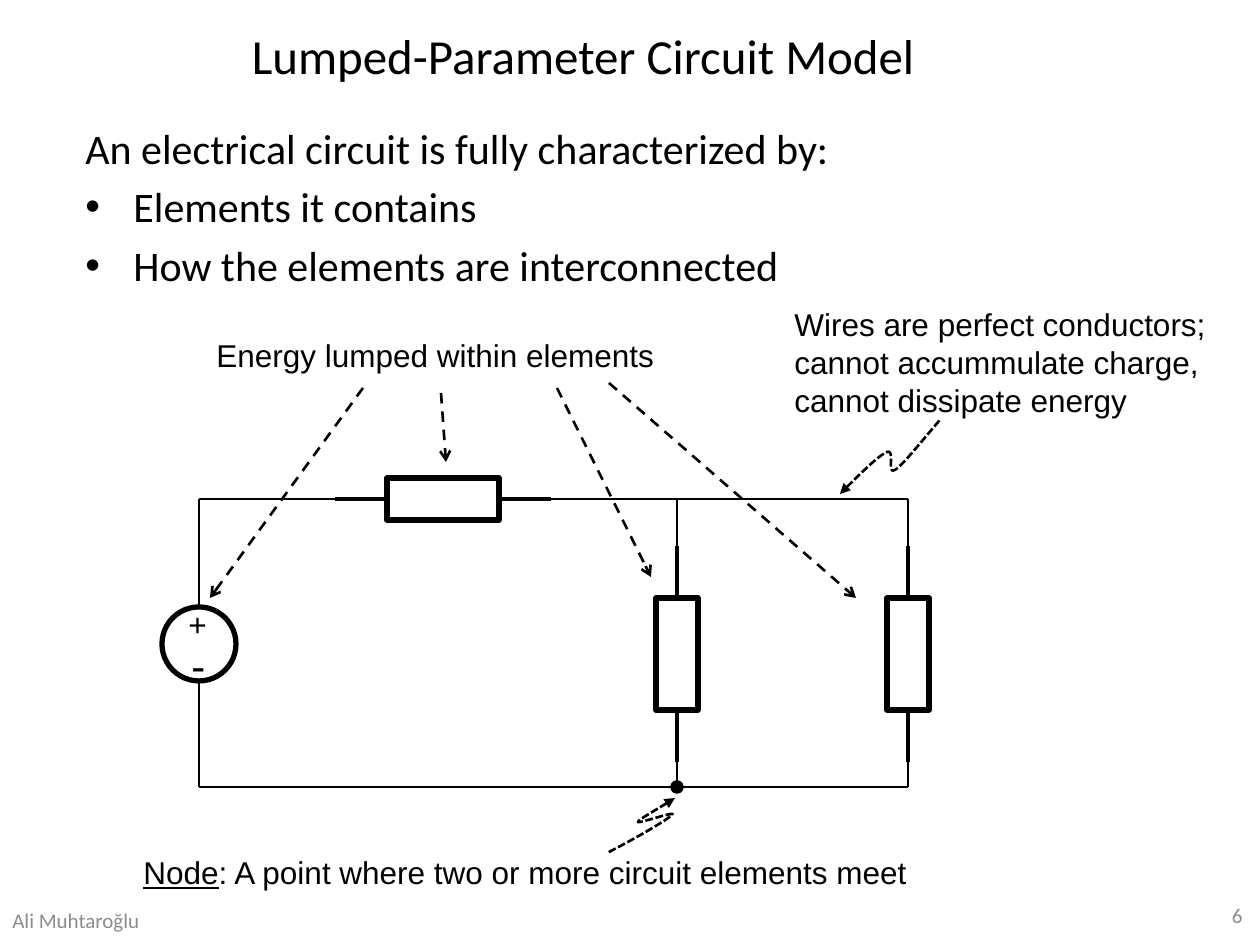
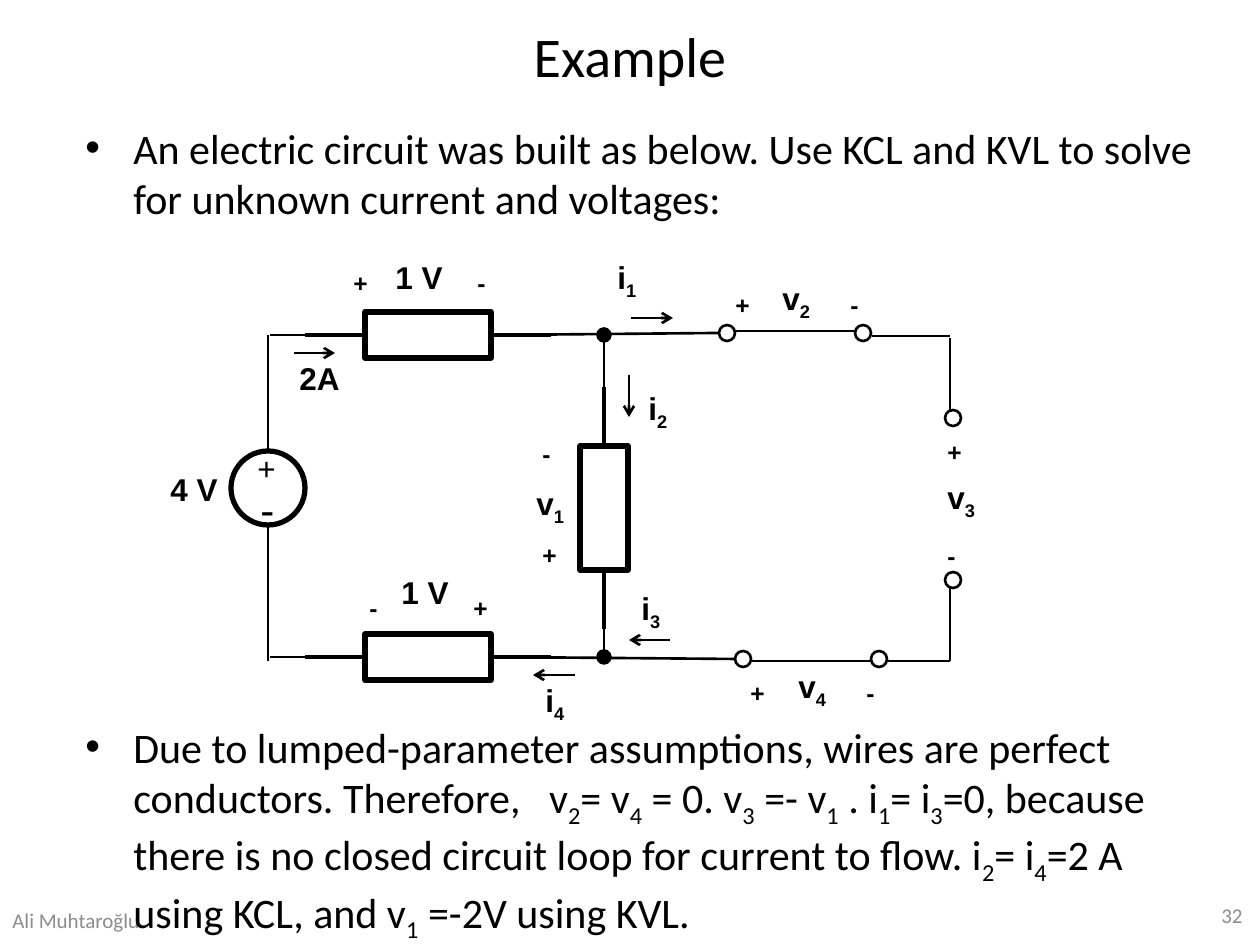
"""Builds two slides on lumped-parameter circuits."""
from dataclasses import dataclass

from lxml.etree import SubElement
from pptx import Presentation
from pptx.dml.color import RGBColor
from pptx.enum.dml import MSO_LINE
from pptx.enum.shapes import MSO_CONNECTOR, MSO_SHAPE
from pptx.enum.text import MSO_ANCHOR, PP_ALIGN
from pptx.oxml.ns import qn
from pptx.util import Emu, Pt

SCALE = 914400 / 126


@dataclass(frozen=True)
class Theme:
    ink: RGBColor = RGBColor(0, 0, 0)
    paper: RGBColor = RGBColor(255, 255, 255)
    muted: RGBColor = RGBColor(0x8C, 0x8C, 0x8C)
    head_font: str = "Calibri"
    label_font: str = "Arial"
    body: int = 24
    label: int = 18
    sign: int = 14
    footer: int = 12
    wire: float = 1.5
    lead: float = 2.25
    outline: float = 3


def px(v):
    return Emu(round(v * SCALE))


def add_text(p, text, font, size, color, bold=False, underline=False):
    """Adds text; "_" lowers the next character, "~" is a wide space."""
    def run(content):
        r = p.add_run()
        r.text = content
        r.font.name, r.font.size, r.font.color.rgb = font, Pt(size), color
        r.font.bold, r.font.underline = bold, underline
        return r._r.get_or_add_rPr()

    plain = ""
    chars = iter(text)
    for ch in chars:
        if ch not in "_~":
            plain += ch
            continue
        if plain:
            run(plain)
        plain = ""
        if ch == "_":
            run(next(chars)).set("baseline", "-25000")
        else:
            run(" ").set("spc", "1080")
    if plain:
        run(plain)


def bezier(points, steps=12):
    """Samples a chain of cubic curves."""
    out = [points[0]]
    for i in range(0, len(points) - 1, 3):
        a, b, c, d = points[i:i + 4]
        for k in range(1, steps + 1):
            t = k / steps
            u = 1 - t
            out.append(tuple(u**3 * a[j] + 3 * u * u * t * b[j]
                             + 3 * u * t * t * c[j] + t**3 * d[j]
                             for j in (0, 1)))
    return out


class Deck:
    """Holds the theme and the current slide, and draws on it."""

    def __init__(self, theme):
        self.theme = theme
        self.prs = Presentation()
        self.prs.slide_width, self.prs.slide_height = px(1260), px(945)

    def slide(self, title, number, size, width):
        t = self.theme
        self.s = self.prs.slides.add_slide(self.prs.slide_layouts[6])
        head = dict(font=t.head_font, anchor=MSO_ANCHOR.MIDDLE)
        small = dict(head, size=t.footer, color=t.muted)
        self.text(63, 16, width, 78, title, size=size, align=PP_ALIGN.CENTER, **head)
        self.text(919, 890, 336, 50, number, align=PP_ALIGN.RIGHT, **small)
        self.text(0, 895, 174, 50, "Ali Muhtaroğlu", **small)

    def text(self, x, y, w, h, *lines, font=None, size=None, color=None,
             align=PP_ALIGN.LEFT, anchor=MSO_ANCHOR.TOP, bold=False):
        t = self.theme
        tf = self.s.shapes.add_textbox(px(x), px(y), px(w), px(h)).text_frame
        tf.word_wrap, tf.vertical_anchor = True, anchor
        for i, line in enumerate(lines):
            p = tf.add_paragraph() if i else tf.paragraphs[0]
            p.alignment = align
            add_text(p, line, font or t.label_font, size or t.label,
                     color or t.ink, bold=bold)
        return tf

    def body(self, y, h, *lines, intro=False):
        t = self.theme
        tf = self.text(73, y, 1134, h, *lines, font=t.head_font, size=t.body)
        for i, p in enumerate(tf.paragraphs):
            p.space_before = Pt(t.body * 0.2)
            if intro and i == 0:
                continue
            pPr = p._p.get_or_add_pPr()
            pPr.set("marL", str(px(48)))
            pPr.set("indent", str(px(-48)))
            SubElement(pPr, qn("a:buFont")).set("typeface", t.label_font)
            SubElement(pPr, qn("a:buChar")).set("char", "•")

    def label(self, x, y, text):
        self.text(x, y, 80, 50, text, bold=True)

    def sign(self, x, y, text):
        self.text(x, y, 50, 48, text, size=self.theme.sign, bold=True)

    def stroke(self, sp, width, dash=None, head=None, tail=None):
        sp.line.color.rgb, sp.line.width = self.theme.ink, Pt(width)
        if dash:
            sp.line.dash_style = dash
        for end, kind in (("a:headEnd", head), ("a:tailEnd", tail)):
            if kind:
                SubElement(sp.line._get_or_add_ln(), qn(end)).set("type", kind)

    def line(self, x1, y1, x2, y2, width=None, **ends):
        sp = self.s.shapes.add_connector(MSO_CONNECTOR.STRAIGHT, px(x1), px(y1), px(x2), px(y2))
        self.stroke(sp, width or self.theme.wire, **ends)
        SubElement(sp._element.spPr, qn("a:effectLst"))
        return sp

    def arrow(self, x1, y1, x2, y2, dash=None):
        self.line(x1, y1, x2, y2, dash=dash, tail="arrow")

    def squiggle(self, *points):
        pts = [(px(x), px(y)) for x, y in bezier(points)]
        fb = self.s.shapes.build_freeform(*pts[0])
        fb.add_line_segments(pts[1:], close=False)
        sp = fb.convert_to_shape()
        sp.shadow.inherit = False
        sp.fill.background()
        self.stroke(sp, self.theme.wire, dash=MSO_LINE.SQUARE_DOT, head="triangle")

    def shape(self, kind, cx, cy, w, h, width, fill=None):
        sp = self.s.shapes.add_shape(kind, px(cx - w / 2), px(cy - h / 2), px(w), px(h))
        sp.shadow.inherit = False
        if fill is None:
            sp.fill.background()
        else:
            sp.fill.solid()
            sp.fill.fore_color.rgb = fill
        self.stroke(sp, width)
        return sp

    def circle(self, cx, cy, d, width, fill=None):
        self.shape(MSO_SHAPE.OVAL, cx, cy, d, d, width, fill)

    def dot(self, cx, cy, d):
        self.circle(cx, cy, d, 2, self.theme.ink)

    def source(self, cx, cy):
        self.circle(cx, cy, 74, self.theme.outline)
        self.text(cx - 23, cy - 45, 50, 50, "+")
        self.text(cx - 20, cy - 11, 50, 63, "-", size=self.theme.body)

    def resistor(self, cx, cy, length, width, lead, vertical=False):
        t = self.theme
        w, h = (width, length) if vertical else (length, width)
        sp = self.shape(MSO_SHAPE.RECTANGLE, cx, cy, w, h, t.outline, t.paper)
        for side, way in zip((0, 2) if vertical else (1, 3), (-1, 1)):
            near, far = way * length / 2, way * (length / 2 + lead)
            ends = (cx, cy + near, cx, cy + far) if vertical else (cx + near, cy, cx + far, cy)
            self.line(*ends, width=t.lead).begin_connect(sp, side)


def model_slide(d):
    d.slide("Lumped-Parameter Circuit Model", "6", 28, 1040)
    d.body(116, 190, "An electrical circuit is fully characterized by:",
           "Elements it contains", "How the elements are interconnected", intro=True)
    left, mid, right, top, bottom = 199, 677, 908, 499, 787
    d.line(left, 607, left, top)
    d.line(left, top, 336, top)
    d.line(546, top, right, top)
    d.line(left, bottom, left, 681)
    d.line(right, bottom, left, bottom)
    d.resistor(443, top, 112, 42, 52)
    for x in (mid, right):
        d.line(x, 567, x, top)
        d.line(x, 761, x, bottom)
        d.resistor(x, 654, 112, 42, 52, vertical=True)
    d.source(left, 644)
    d.dot(mid, bottom, 10)

    d.text(204, 330, 519, 50, "Energy lumped within elements")
    for ends in ((609, 383, 856, 598), (557, 388, 651, 577),
                 (441, 393, 446, 462), (363, 388, 210, 598)):
        d.arrow(*ends, dash=MSO_LINE.DASH)

    d.text(782, 299, 462, 127, "Wires are perfect conductors;",
           "cannot accummulate charge,", "cannot dissipate energy")
    d.squiggle((840, 494), (859, 475), (878, 456), (887, 452), (896, 449),
               (886, 475), (895, 470), (903, 465), (921, 442), (940, 420))

    t = d.theme
    p = d.text(131, 847, 1050, 50, "").paragraphs[0]
    add_text(p, "Node", t.label_font, t.label, t.ink, underline=True)
    add_text(p, ": A point where two or more circuit elements meet",
             t.label_font, t.label, t.ink)
    d.squiggle((675, 798), (658, 809), (639, 819), (638, 822), (638, 824),
               (678, 810), (672, 815), (667, 820), (638, 837), (607, 853))


def example_slide(d):
    d.slide("Example", "32", 32, 1134)
    d.body(116, 120, "An electric circuit was built as below. Use KCL and KVL "
           "to solve for unknown current and voltages:")
    d.body(715, 210, "Due to lumped-parameter assumptions, wires are perfect conductors. "
           "Therefore,~v_2= v_4 = 0. v_3 =- v_1 . i_1= i_3=0, because there is no closed "
           "circuit loop for current to flow. i_2= i_4=2 A using KCL, and v_1 =-2V using KVL.")
    left, mid, right, top, bottom = 268, 604, 950, 335, 657
    for ends in ((left, 451, left, top), (left, 661, left, 525),
                 (mid, 411, mid, top), (mid, 628, mid, bottom),
                 (496, top, 719, 333), (735, 331, 856, 331), (872, 336, right, 336),
                 (right, 338, right, 411), (right, 588, right, 661),
                 (496, bottom, 735, 659), (751, 661, 872, 661), (887, 661, right, 661)):
        d.line(*ends)
    for y in (top, bottom):
        d.line(270, y, 365, y)
        d.resistor(428, y, 126, 46, 60)
        d.dot(mid, y, 12)
    d.resistor(mid, 508, 124, 48, 59, vertical=True)
    d.source(left, 488)
    for x, y in ((727, 333), (863, 333), (953, 418), (953, 580), (743, 659), (879, 659)):
        d.circle(x, y, 16, d.theme.wire)

    for ends in ((629, 375, 629, 417), (631, 318, 673, 318), (575, 675, 533, 675),
                 (670, 640, 629, 640), (294, 353, 335, 353)):
        d.arrow(*ends)
    for x, y, name in ((383, 252, "1 V"), (389, 567, "1 V"), (158, 464, "4 V"),
                       (287, 353, "2A"), (605, 252, "i_1"), (636, 383, "i_2"),
                       (629, 583, "i_3"), (533, 675, "i_4"), (524, 478, "v_1"),
                       (770, 273, "v_2"), (935, 472, "v_3"), (786, 661, "v_4")):
        d.label(x, y, name)
    for plus, minus in (((341, 262), (465, 262)), ((461, 587), (357, 587)),
                        ((530, 534), (530, 433)), ((723, 284), (838, 284)),
                        ((935, 431), (935, 535)), ((738, 672), (854, 672))):
        d.sign(*plus, "+")
        d.sign(*minus, "-")


def main():
    d = Deck(Theme())
    model_slide(d)
    example_slide(d)
    d.prs.save("out.pptx")


if __name__ == "__main__":
    main()
